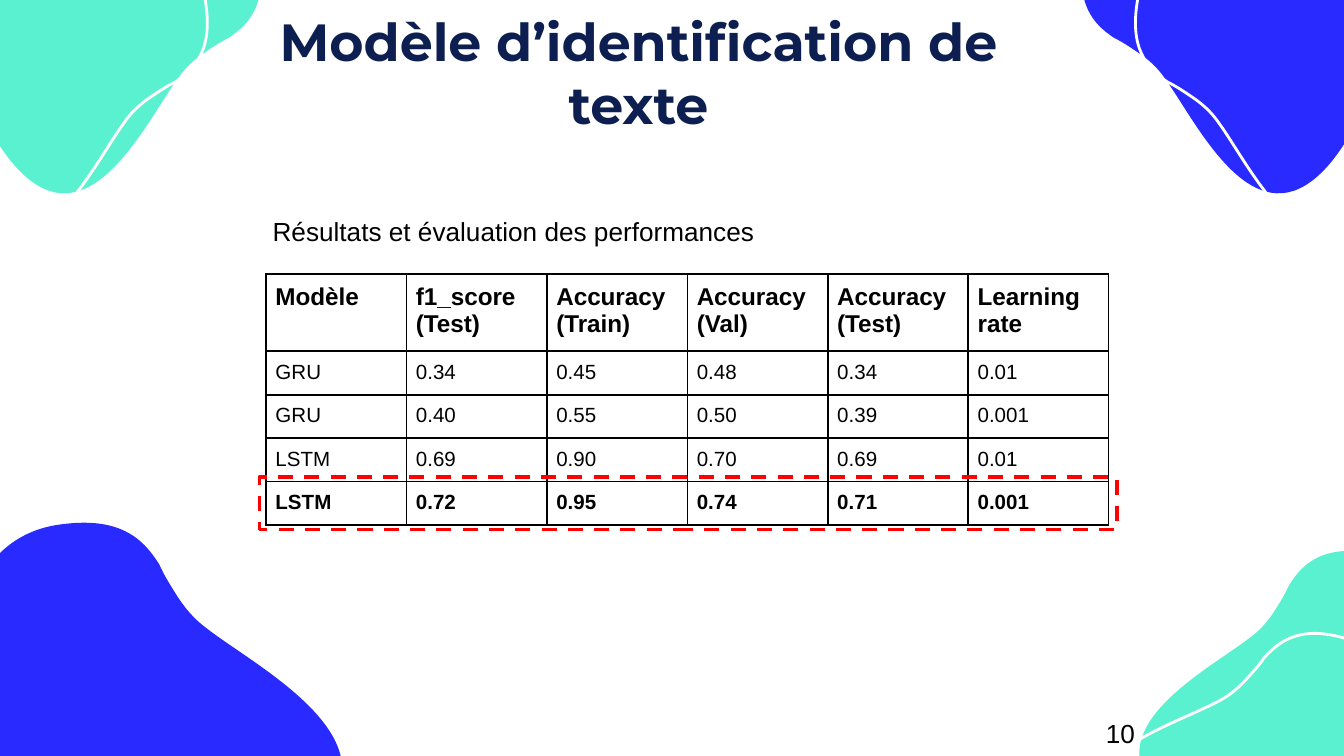
import pptx
import pptx.util
import pptx.dml.color
import pptx.enum.dml
import pptx.enum.shapes
import pptx.enum.text
import pptx.oxml
import pptx.oxml.ns
import lxml.etree
from pptx.util import Inches

NAVY, BLUE, MINT = "0D1E51", "282AFF", "5AF1D1"
WHITE, BLACK, RED = "FFFFFF", "000000", "FF0000"


def color(value):
    return pptx.dml.color.RGBColor.from_string(value)


def write(frame, text, size, font="Arial", ink=BLACK, bold=False):
    para = frame.paragraphs[0]
    span = para.add_run()
    span.text = text
    span.font.size = pptx.util.Pt(size)
    span.font.name = font
    span.font.bold = bold
    span.font.color.rgb = color(ink)
    return para


deck = pptx.Presentation()
deck.slide_width = Inches(10)
deck.slide_height = Inches(10) * 9 // 16
page = deck.slides.add_slide(deck.slide_layouts[6])

blob_width = 2.71
curve_points = [
    (0.51, 0),
    (0.28, 0), (0.10, 0.12), (0.07, 0.50),
    (0, 1.40), (0.91, 1.78), (1.27, 1.82),
    (1.33, 1.83), (1.38, 1.83), (1.42, 1.83),
    (2.12, 1.83), (2.71, 1.29), (2.46, 0.73),
    (2.31, 0.39), (2.12, 0.34), (1.93, 0.34),
    (1.86, 0.35), (1.80, 0.35), (1.72, 0.35),
    (1.63, 0.35), (1.54, 0.34), (1.44, 0.30),
    (1.22, 0.22), (0.82, 0), (0.51, 0),
]
blobs = [
    (7.73, -0.79, 1, 214, False, BLUE),
    (8.13, -0.46, 1, 214, False, None),
    (8.42, 4.23, 1, 302.1, False, MINT),
    (8.09, 4.79, 1, 312.4, False, None),
    (-0.45, -0.79, 1, 146, True, MINT),
    (-0.85, -0.46, 1, 146, True, None),
    (-0.69, 4.05, 1.22, 57.9, True, BLUE),
]
for left, top, scale, angle, mirrored, fill in blobs:
    points = [
        (Inches(left + scale * (blob_width - x if mirrored else x)),
         Inches(top + scale * y))
        for x, y in curve_points]
    builder = page.shapes.build_freeform(*points[0], scale=1.0)
    builder.add_line_segments(points[1:], close=True)
    blob = builder.convert_to_shape()
    lines = list(blob._element.iter(pptx.oxml.ns.qn("a:lnTo")))
    for index in range(0, len(lines), 3):
        curve = lxml.etree.Element(pptx.oxml.ns.qn("a:cubicBezTo"))
        lines[index].addprevious(curve)
        for line in lines[index:index + 3]:
            curve.append(line[0])
            line.getparent().remove(line)
    blob.rotation = angle
    blob.shadow.inherit = False
    if fill:
        blob.fill.solid()
        blob.fill.fore_color.rgb = color(fill)
        blob.line.fill.background()
    else:
        blob.fill.background()
        blob.line.color.rgb = color(WHITE)
        blob.line.width = pptx.util.Pt(1.5)

title = page.shapes.add_textbox(Inches(1.85), Inches(-0.03), Inches(5.8), Inches(1.07))
title.text_frame.word_wrap = True
title.text_frame.margin_top = title.text_frame.margin_bottom = Inches(0.1)
para = write(title.text_frame, "Modèle d’identification de texte", 28, "Montserrat", NAVY, True)
para.alignment = pptx.enum.text.PP_ALIGN.CENTER

number = page.shapes.add_textbox(Inches(8.13), Inches(5.29), Inches(0.49), Inches(0.34))
number.text_frame.word_wrap = True
write(number.text_frame, "10", 14)

results = [
    ("Modèle", "f1_score (Test)", "Accuracy (Train)", "Accuracy (Val)",
     "Accuracy (Test)", "Learning rate"),
    ("GRU", "0.34", "0.45", "0.48", "0.34", "0.01"),
    ("GRU", "0.40", "0.55", "0.50", "0.39", "0.001"),
    ("LSTM", "0.69", "0.90", "0.70", "0.69", "0.01"),
    ("LSTM", "0.72", "0.95", "0.74", "0.71", "0.001"),
]
last = len(results) - 1
table = page.shapes.add_table(
    len(results), len(results[0]), Inches(1.98), Inches(2.04), Inches(6.27), Inches(1.86)).table
table.first_row = False
table.horz_banding = False
for row, values in enumerate(results):
    table.rows[row].height = Inches(0.32 if row else 0.57)
    for column, value in enumerate(values):
        cell = table.cell(row, column)
        cell.margin_left = cell.margin_right = Inches(0.07)
        cell.margin_top = cell.margin_bottom = Inches(0.07)
        write(cell.text_frame, value, 11 if row else 13, bold=row in (0, last))
        properties = cell._tc.get_or_add_tcPr()
        for side in ("lnL", "lnR", "lnT", "lnB"):
            properties.append(pptx.oxml.parse_xml(
                f'<a:{side} xmlns:a="http://schemas.openxmlformats.org/drawingml/2006/main" '
                f'w="{pptx.util.Pt(1)}"><a:solidFill><a:srgbClr val="{BLACK}"/></a:solidFill>'
                f'</a:{side}>'))
        cell.fill.background()

highlight = page.shapes.add_shape(
    pptx.enum.shapes.MSO_SHAPE.RECTANGLE,
    Inches(1.93), Inches(3.55), Inches(6.38), Inches(0.39))
highlight.shadow.inherit = False
highlight.fill.background()
highlight.line.color.rgb = color(RED)
highlight.line.width = pptx.util.Pt(2)
highlight.line.dash_style = pptx.enum.dml.MSO_LINE.DASH

caption = page.shapes.add_textbox(Inches(1.93), Inches(1.55), Inches(3.8), Inches(0.34))
caption.text_frame.word_wrap = False
write(caption.text_frame, "Résultats et évaluation des performances", 14)

deck.save("out.pptx")
